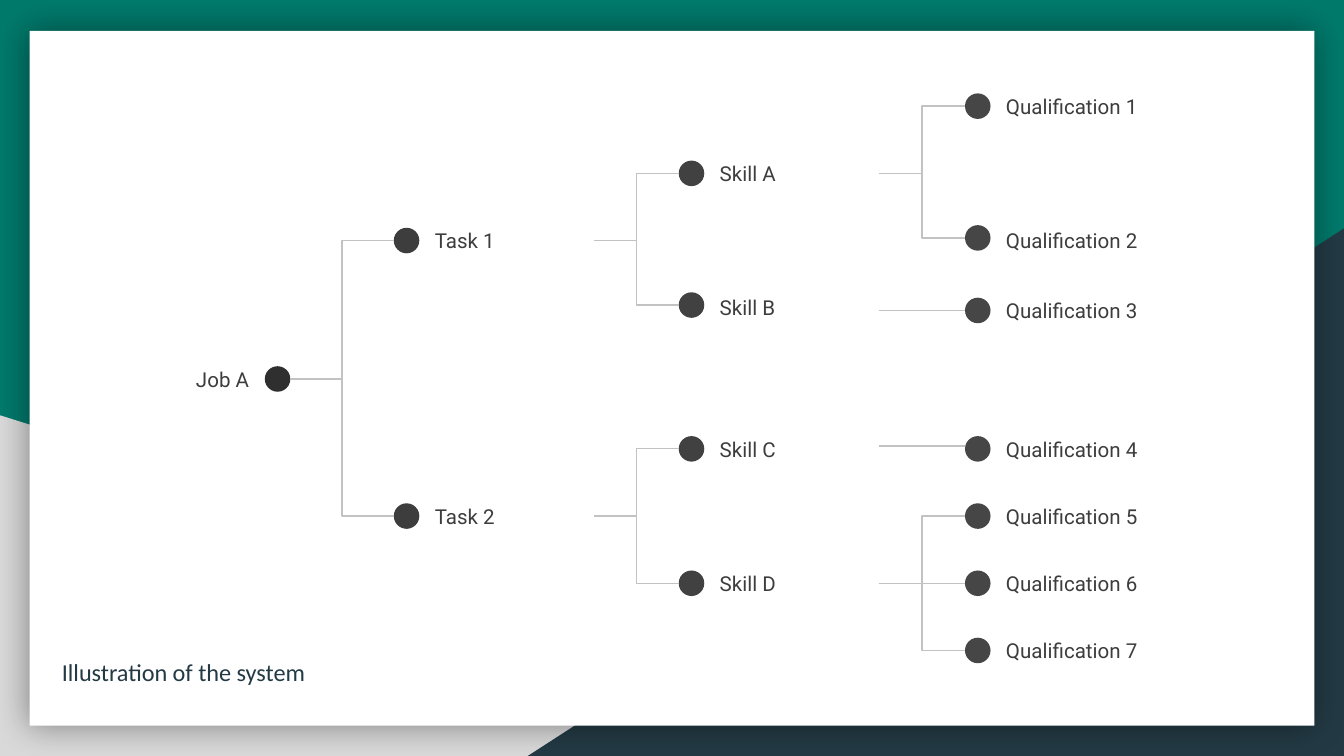
import pptx
import pptx.dml.color
import pptx.enum.shapes
import pptx.enum.text
import pptx.oxml
import pptx.oxml.ns
import pptx.util

Inches = pptx.util.Inches
RGBColor = pptx.dml.color.RGBColor
Shapes = pptx.enum.shapes.MSO_SHAPE
Connectors = pptx.enum.shapes.MSO_CONNECTOR
Align = pptx.enum.text.PP_ALIGN
Anchor = pptx.enum.text.MSO_ANCHOR

GREEN = RGBColor(0x00, 0x79, 0x6B)
LIGHT_GREY = RGBColor(0xD9, 0xD9, 0xD9)
NAVY = RGBColor(0x23, 0x3A, 0x44)
WHITE = RGBColor(0xFF, 0xFF, 0xFF)
LINE_GREY = RGBColor(0xC2, 0xC2, 0xC2)
LABEL_GREY = RGBColor(0x3D, 0x3D, 0x3D)
JOB_DOT = RGBColor(0x2F, 0x2F, 0x2F)
TASK_DOT = RGBColor(0x3D, 0x3D, 0x3D)
SKILL_DOT = RGBColor(0x41, 0x41, 0x41)
QUALIFICATION_DOT = RGBColor(0x46, 0x46, 0x46)

DOT = 0.19
LABEL_WIDTH, LABEL_HEIGHT = 1.3, 0.35

# Each level: left edge of its dots, dot colour, and nodes as
# (name, parent, label centre, dot centre)
LEVELS = [
    (1.97, JOB_DOT, [("Job A", None, 2.82, 2.82)]),
    (2.93, TASK_DOT, [("Task 1", "Job A", 1.79, 1.79),
                      ("Task 2", "Job A", 3.84, 3.84)]),
    (5.05, SKILL_DOT, [("Skill A", "Task 1", 1.29, 1.29),
                       ("Skill B", "Task 1", 2.29, 2.27),
                       ("Skill C", "Task 2", 3.34, 3.34),
                       ("Skill D", "Task 2", 4.34, 4.34)]),
    (7.18, QUALIFICATION_DOT, [("Qualification 1", "Skill A", 0.79, 0.79),
                               ("Qualification 2", "Skill A", 1.79, 1.77),
                               ("Qualification 3", "Skill B", 2.31, 2.31),
                               ("Qualification 4", "Skill C", 3.34, 3.34),
                               ("Qualification 5", "Skill D", 3.84, 3.84),
                               ("Qualification 6", "Skill D", 4.34, 4.34),
                               ("Qualification 7", "Skill D", 4.84, 4.84)]),
]
# Level links that run straight, at their own height
STRAIGHT_LINKS = {"Qualification 3": 2.31, "Qualification 4": 3.32}


def write_text(shape, text, font="Roboto", size=11, color=LABEL_GREY,
               align=Align.LEFT, anchor=Anchor.MIDDLE):
    frame = shape.text_frame
    frame.word_wrap = True
    frame.auto_size = pptx.enum.text.MSO_AUTO_SIZE.NONE
    frame.vertical_anchor = anchor
    frame.margin_left = frame.margin_right = Inches(0.1)
    frame.margin_top = frame.margin_bottom = Inches(0.1)
    paragraph = frame.paragraphs[0]
    paragraph.alignment = align
    paragraph.space_before = pptx.util.Pt(0)
    run = paragraph.add_run()
    run.text = text
    run.font.name = font
    run.font.size = pptx.util.Pt(size)
    run.font.color.rgb = color
    return paragraph


class SlideBuilder:
    """Holds the line style and the current slide."""

    def __init__(self, slide, line_color=LINE_GREY, line_width=0.75):
        self.slide = slide
        self.line_color = line_color
        self.line_width = line_width

    def shape(self, kind, left, top, width, height, fill=None, parent=None):
        shapes = (parent or self.slide).shapes
        shape = shapes.add_shape(kind, Inches(left), Inches(top),
                                 Inches(width), Inches(height))
        shape.shadow.inherit = False
        shape.line.fill.background()
        if fill is None:
            shape.fill.background()
        else:
            shape.fill.solid()
            shape.fill.fore_color.rgb = fill
        return shape

    def card(self, left, top, width, height):
        card = self.shape(Shapes.RECTANGLE, left, top, width, height, WHITE)
        effects = card._element.spPr.find(pptx.oxml.ns.qn("a:effectLst"))
        effects.append(pptx.oxml.parse_xml(
            f'<a:outerShdw {pptx.oxml.ns.nsdecls("a")} blurRad="{pptx.util.Pt(18)}"'
            ' dist="0" dir="0" algn="ctr" rotWithShape="0">'
            '<a:srgbClr val="000000"><a:alpha val="40000"/></a:srgbClr>'
            '</a:outerShdw>'))

    def caption(self, text, left, top, width, height):
        body = self.slide.placeholders[1]
        body.left, body.top = Inches(left), Inches(top)
        body.width, body.height = Inches(width), Inches(height)
        paragraph = write_text(body, text, font="Calibri", size=13,
                               color=NAVY, anchor=Anchor.BOTTOM)
        properties = paragraph._p.get_or_add_pPr()
        properties.set("marL", "0")
        properties.set("indent", "0")
        properties.append(properties.makeelement(pptx.oxml.ns.qn("a:buNone"), {}))
        # Bring the caption in front of the card
        self.slide.shapes._spTree.append(body._element)

    def node(self, name, dot_left, label_center, dot_center, color, label_first):
        group = self.slide.shapes.add_group_shape()
        label_left = dot_left - LABEL_WIDTH if label_first else dot_left + DOT
        label = self.shape(Shapes.ROUNDED_RECTANGLE, label_left,
                           label_center - LABEL_HEIGHT / 2,
                           LABEL_WIDTH, LABEL_HEIGHT, parent=group)
        write_text(label, name, align=Align.RIGHT if label_first else Align.LEFT)
        self.shape(Shapes.OVAL, dot_left, dot_center - DOT / 2, DOT, DOT,
                   color, parent=group)
        return label

    def link(self, start, end, label=None):
        straight = start[1] == end[1]
        kind = Connectors.STRAIGHT if straight else Connectors.ELBOW
        connector = self.slide.shapes.add_connector(
            kind, *(Inches(value) for value in (*start, *end)))
        connector.line.color.rgb = self.line_color
        connector.line.width = pptx.util.Pt(self.line_width)
        properties = connector._element.spPr
        properties.append(properties.makeelement(pptx.oxml.ns.qn("a:effectLst"), {}))
        if label is not None:
            connector.begin_connect(label, 3)


def main():
    presentation = pptx.Presentation()
    # Widescreen, 16:9
    presentation.slide_width = Inches(10)
    presentation.slide_height = presentation.slide_width * 9 // 16
    slide = presentation.slides.add_slide(presentation.slide_layouts[1])
    title = slide.shapes.title._element
    title.getparent().remove(title)
    builder = SlideBuilder(slide)

    # Background, corner triangles and card
    slide.background.fill.solid()
    slide.background.fill.fore_color.rgb = GREEN
    builder.shape(Shapes.RIGHT_TRIANGLE, 0, 3.09, 8.06, 2.54, LIGHT_GREY)
    corner = builder.shape(Shapes.RIGHT_TRIANGLE, 3.92, 1.7, 6.08, 3.93, NAVY)
    corner._element.spPr.xfrm.set("flipH", "1")
    builder.card(0.22, 0.23, 9.56, 5.17)
    builder.caption("Illustration of the system", 0.36, 4.55, 5.83, 0.66)

    # Tree: every node, and the link from its parent
    labels, exits = {}, {}
    for dot_left, color, nodes in LEVELS:
        for name, parent, label_center, dot_center in nodes:
            is_root = parent is None
            label = builder.node(name, dot_left, label_center, dot_center,
                                 color, label_first=is_root)
            right = dot_left + DOT + (0 if is_root else LABEL_WIDTH)
            exits[name] = (right, label_center)
            if not is_root:
                labels[name] = label
            if name in STRAIGHT_LINKS:
                height = STRAIGHT_LINKS[name]
                builder.link((exits[parent][0], height), (dot_left, height))
            elif not is_root:
                builder.link(exits[parent], (dot_left, dot_center),
                             labels.get(parent))

    presentation.save("out.pptx")


if __name__ == "__main__":
    main()
